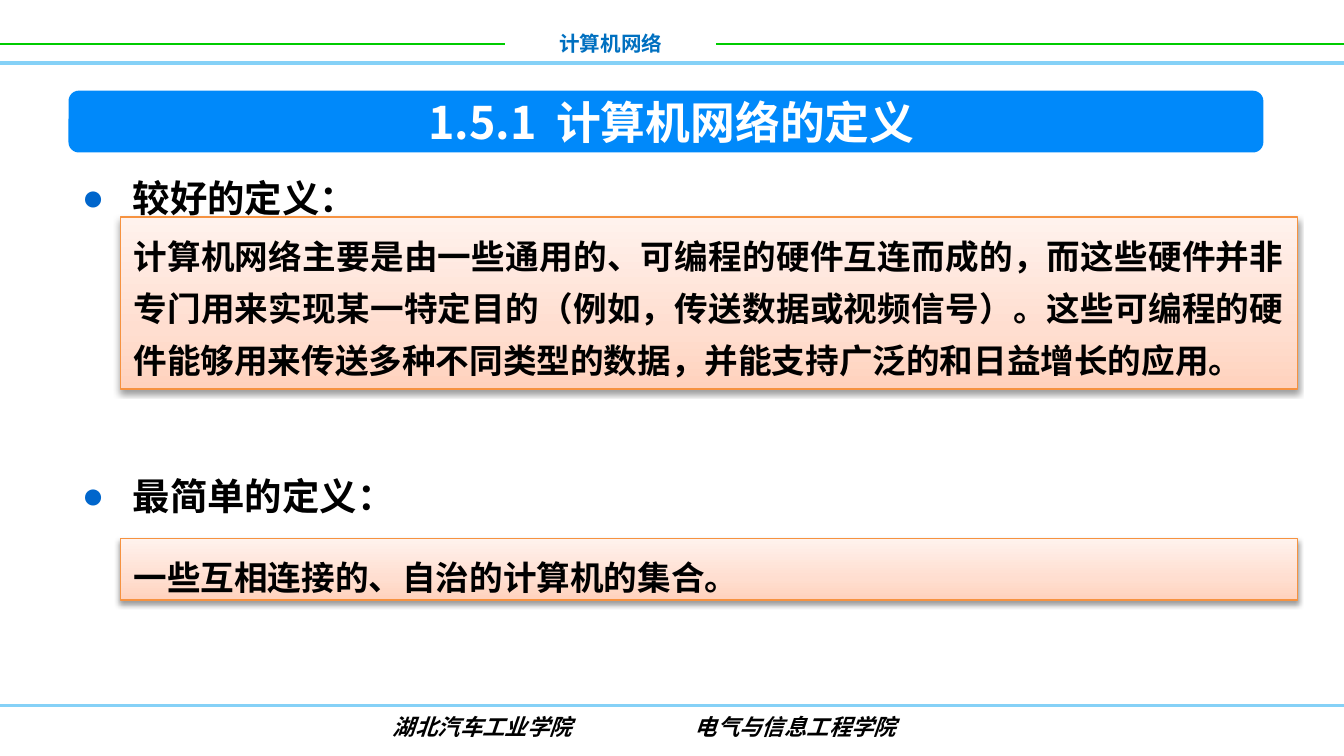
"""Build a slide that gives two definitions of a computer network."""
from copy import deepcopy
from dataclasses import dataclass

from lxml.etree import SubElement
from pptx import Presentation
from pptx.dml.color import RGBColor
from pptx.enum.shapes import MSO_CONNECTOR, MSO_SHAPE
from pptx.enum.text import MSO_ANCHOR, PP_ALIGN
from pptx.oxml.ns import qn
from pptx.util import Inches, Pt


@dataclass(frozen=True)
class Theme:
    """Colours, fonts and type sizes of the slide."""
    green: str = "00CC00"
    sky: str = "85D1F7"
    blue: str = "0070C0"
    band: str = "0089FA"
    dot: str = "0066CC"
    edge: str = "F69240"
    black: str = "000000"
    white: str = "FFFFFF"
    glow: tuple = ((0, "FFD2BD"), (0.35, "FFDED0"), (1, "FFF2ED"))
    hans: str = "Noto Sans CJK SC"
    latin: str = "Arial"
    head: int = 11
    foot: int = 12
    title: int = 24
    point: int = 20
    body: int = 18


THEME = Theme()
COLS = 100
WIDE = 10
HIGH = WIDE * 9 / 16


def cell(count):
    """Return the length of a number of square grid cells."""
    return Inches(count * WIDE / COLS)


def tint(code):
    """Return a colour from its hex code."""
    return RGBColor.from_string(code)


def write(para, text, size, color, face=THEME.hans, slant=None, track=0):
    """Add one bold run to a paragraph."""
    run = para.add_run()
    run.text = text
    font = run.font
    font.size, font.bold, font.italic = Pt(size), True, slant
    font.name = face
    font.color.rgb = tint(color)
    props = font._element
    SubElement(props, qn("a:ea")).set("typeface", THEME.hans)
    if track:
        props.set("spc", str(track * 100))


def rule(slide, left, right, row, color, width):
    """Draw a level line between two columns."""
    line = slide.shapes.add_connector(
        MSO_CONNECTOR.STRAIGHT, cell(left), cell(row), cell(right), cell(row))
    line.line.color.rgb = tint(color)
    line.line.width = Pt(width)
    SubElement(line._element.spPr, qn("a:effectLst"))


def label(slide, place, align=PP_ALIGN.CENTER, anchor=MSO_ANCHOR.TOP):
    """Add a wrapping text box and return its frame."""
    frame = slide.shapes.add_textbox(*map(cell, place)).text_frame
    frame.word_wrap = True
    frame.vertical_anchor = anchor
    frame.paragraphs[0].alignment = align
    return frame


def title(slide, number, text):
    """Draw the title band with its number and heading."""
    band = slide.shapes.add_shape(
        MSO_SHAPE.ROUNDED_RECTANGLE, *map(cell, (5.1, 6.75, 88.9, 4.6)))
    band.shadow.inherit = False
    band.fill.solid()
    band.fill.fore_color.rgb = tint(THEME.band)
    band.line.fill.background()
    para = label(slide, (13.7, 7.05, 72.5, 4), anchor=MSO_ANCHOR.MIDDLE).paragraphs[0]
    write(para, number, THEME.title, THEME.white)
    write(para, " ", THEME.title, THEME.white, track=5)
    write(para, text, THEME.title, THEME.white)


def points(slide, items, gap):
    """Write the bulleted headings, set apart by a gap in points."""
    frame = label(slide, (5.1, 11.4, 88.9, 36.1), PP_ALIGN.LEFT)
    for index, text in enumerate(items):
        para = frame.add_paragraph() if index else frame.paragraphs[0]
        para.line_spacing = Pt(32)
        if index:
            para.space_before = Pt(gap)
        props = para._p.get_or_add_pPr()
        props.set("marL", str(cell(3.8)))
        props.set("indent", str(-cell(3.8)))
        color = SubElement(props, qn("a:buClr"))
        SubElement(color, qn("a:srgbClr")).set("val", THEME.dot)
        SubElement(props, qn("a:buFont")).set("typeface", THEME.latin)
        SubElement(props, qn("a:buChar")).set("char", "●")
        write(para, text, THEME.point, THEME.black)


def shade(shape):
    """Give a shape a soft shadow that falls straight down."""
    shape.shadow.inherit = False
    effect = shape._element.spPr.find(qn("a:effectLst"))
    outer = SubElement(effect, qn("a:outerShdw"), blurRad=str(Pt(3.1)),
                       dist=str(Pt(1.6)), dir="5400000", rotWithShape="0")
    color = SubElement(outer, qn("a:srgbClr"), val=THEME.black)
    SubElement(color, qn("a:alpha"), val="38000")


def panel(slide, row, rows, text):
    """Draw a glowing box that holds one definition."""
    box = slide.shapes.add_shape(
        MSO_SHAPE.RECTANGLE, *map(cell, (8.95, row, 87.6, rows)))
    box.fill.gradient()
    box.fill.gradient_angle = 90
    stops = box._element.spPr.find(".//" + qn("a:gsLst"))
    stops.insert(1, deepcopy(stops[0]))
    for stop, (spot, color) in zip(box.fill.gradient_stops, THEME.glow):
        stop.position = spot
        stop.color.rgb = tint(color)
    box.line.color.rgb = tint(THEME.edge)
    box.line.width = Pt(0.75)
    shade(box)
    frame = box.text_frame
    frame.word_wrap = True
    frame.vertical_anchor = MSO_ANCHOR.TOP
    para = frame.paragraphs[0]
    para.alignment = PP_ALIGN.JUSTIFY
    para.line_spacing = Pt(28)
    write(para, text, THEME.body, THEME.black)


def border(slide):
    """Draw the header and footer with their rules."""
    for left, right in ((0, 37.6), (53.3, COLS)):
        rule(slide, left, right, 3.3, THEME.green, 1)
    rule(slide, 0, COLS, 4.7, THEME.sky, 2)
    rule(slide, 0, COLS, 52.5, THEME.sky, 1.5)
    para = label(slide, (37.6, 1.8, 15.7, 2.9)).paragraphs[0]
    write(para, "计算机网络", THEME.head, THEME.blue)
    for left, text in ((25.9, "湖北汽车工业学院"), (49.2, "电气与信息工程学院")):
        para = label(slide, (left, 52.6, 20, 3)).paragraphs[0]
        write(para, text, THEME.foot, THEME.black, THEME.latin, True)


def main():
    """Build the slide and save it."""
    deck = Presentation()
    deck.slide_width, deck.slide_height = Inches(WIDE), Inches(HIGH)
    slide = deck.slides.add_slide(deck.slide_layouts[6])
    border(slide)
    title(slide, "1.5.1", "计算机网络的定义")
    points(slide, ("较好的定义：", "最简单的定义："), 128)
    panel(slide, 16.15, 12.8,
          "计算机网络主要是由一些通用的、可编程的硬件互连而成的，"
          "而这些硬件并非专门用来实现某一特定目的（例如，传送数据或视频信号）。"
          "这些可编程的硬件能够用来传送多种不同类型的数据，"
          "并能支持广泛的和日益增长的应用。")
    panel(slide, 40.05, 4.6, "一些互相连接的、自治的计算机的集合。")
    deck.save("out.pptx")


if __name__ == "__main__":
    main()
